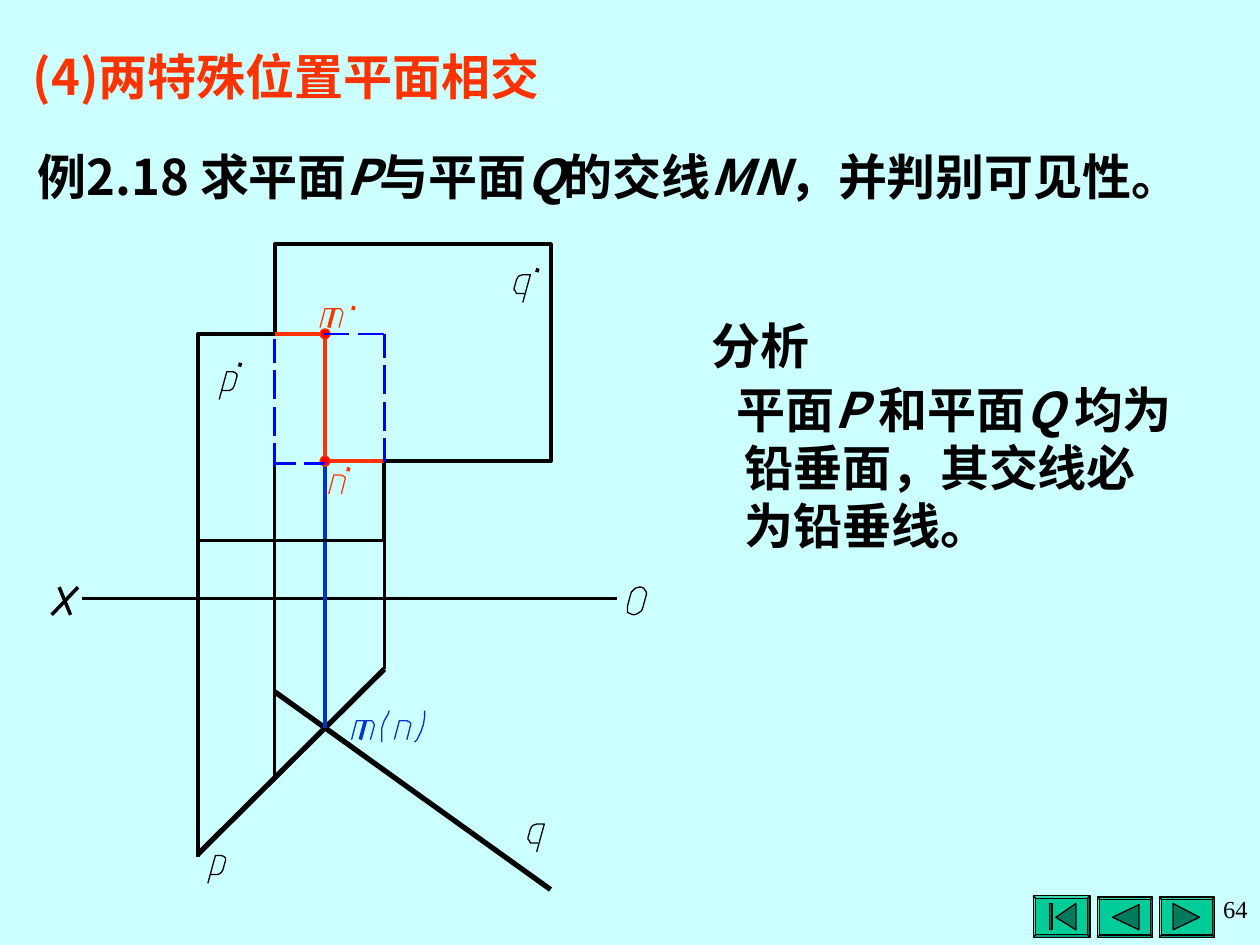
from lxml import etree
from pptx import Presentation
from pptx.dml.color import RGBColor
from pptx.enum.shapes import MSO_CONNECTOR, MSO_SHAPE
from pptx.enum.text import MSO_ANCHOR, MSO_AUTO_SIZE, PP_ALIGN
from pptx.oxml.ns import qn
from pptx.util import Inches, Pt

STRAIGHT = MSO_CONNECTOR.STRAIGHT
BEVEL, OVAL, RECTANGLE = MSO_SHAPE.BEVEL, MSO_SHAPE.OVAL, MSO_SHAPE.RECTANGLE
MIDDLE, TOP = MSO_ANCHOR.MIDDLE, MSO_ANCHOR.TOP
LEFT, RIGHT = PP_ALIGN.LEFT, PP_ALIGN.RIGHT
NO_AUTOFIT = MSO_AUTO_SIZE.NONE

BLACK = RGBColor(0x00, 0x00, 0x00)
PALE_CYAN = RGBColor(0xCC, 0xFF, 0xFF)
ORANGE_RED = RGBColor(0xFF, 0x33, 0x00)
RED = RGBColor(0xFF, 0x00, 0x00)
BLUE = RGBColor(0x00, 0x00, 0xFF)
DEEP_BLUE = RGBColor(0x00, 0x33, 0xCC)
GREEN = RGBColor(0x00, 0xCC, 0x99)
DARK_GREEN = RGBColor(0x00, 0x7A, 0x5C)

CJK_FONT = "Noto Sans CJK SC"
NUMBER_FONT = "Times New Roman"

P_LEFT, Q_LEFT, MN_X, P_RIGHT, Q_RIGHT = 1.57, 2.18, 2.58, 3.05, 4.37
Q_TOP, P_TOP, Q_BOTTOM, P_BOTTOM = 1.94, 2.65, 3.66, 4.29

GLYPHS = {
    "p": [[(0, .22), (.06, 0), (.11, 0), (.13, .01), (.14, .02), (.14, .04),
           (.12, .11), (.11, .13), (.1, .14), (.08, .15), (.02, .15)]],
    "q": [[(.07, .22), (.13, 0), (.07, 0), (.04, .01), (.03, .02), (.02, .04),
           (0, .11), (0, .12), (.01, .13), (.02, .15), (.04, .15), (.08, .15)]],
    "m": [[(.15, .15), (.18, .04), (.18, .03), (.17, .01), (.16, 0), (.04, 0), (0, .15)],
          [(.07, .15), (.11, 0)]],
    "n": [[(0, .15), (.04, 0), (.1, 0), (.12, .01), (.13, .02), (.13, .03), (.1, .15)]],
    "(": [[(0, .25), (0, .2), (0, .14), (.02, .08), (.05, .03), (.06, 0)]],
    ")": [[(0, .25), (.02, .23), (.05, .17), (.07, .11), (.08, .05), (.08, 0)]],
    "'": [[(.01, 0), (0, .03)]],
    "X": [[(.06, 0), (.15, .22)], [(.21, 0), (0, .22)]],
    "O": [[(.05, .22), (.08, .21), (.11, .19), (.12, .17), (.15, .06), (.15, .04),
           (.13, .01), (.11, 0), (.09, 0), (.06, .01), (.03, .04), (0, .15),
           (0, .2), (.02, .21), (.05, .22)]],
}

LABELS = [
    (BLACK, [("p", 1.65, 6.79), ("q", 4.19, 6.54), ("X", .41, 4.66), ("O", 4.98, 4.66),
             ("p", 1.74, 2.95), ("'", 1.9, 2.88), ("q", 4.08, 2.18), ("'", 4.26, 2.13)]),
    (ORANGE_RED, [("m", 2.54, 2.45), ("'", 2.8, 2.43), ("n", 2.61, 3.77), ("'", 2.76, 3.71)]),
    (DEEP_BLUE, [("m", 2.79, 5.72), ("(", 3.03, 5.64), ("n", 3.13, 5.72), (")", 3.29, 5.64)]),
]


def draw_stroke(slide, points, color, width=0):
    corners = [(Inches(x), Inches(y)) for x, y in points]
    if len(corners) == 2:
        stroke = slide.shapes.add_connector(STRAIGHT, *corners[0], *corners[1])
        etree.SubElement(stroke._element.spPr, qn("a:effectLst"))
    else:
        closed = corners[0] == corners[-1]
        builder = slide.shapes.build_freeform(*corners[0])
        builder.add_line_segments(corners[1:], close=closed)
        stroke = builder.convert_to_shape()
        stroke.shadow.inherit = False
        stroke.fill.background()
    stroke.line.color.rgb = color
    stroke.line.width = Pt(width)


def draw_glyph(slide, letter, left, top, color):
    for points in GLYPHS[letter]:
        draw_stroke(slide, [(left + x, top + y) for x, y in points], color)


def style_solid(solid, fill, line, width):
    solid.shadow.inherit = False
    solid.fill.solid()
    solid.fill.fore_color.rgb = fill
    solid.line.color.rgb = line
    solid.line.width = Pt(width)


def add_solid(slide, kind, box, fill, line, width=0):
    solid = slide.shapes.add_shape(kind, *map(Inches, box))
    style_solid(solid, fill, line, width)
    return solid


def add_button(slide, box, triangle, bar=None):
    button = add_solid(slide, BEVEL, box, GREEN, BLACK, .75)
    button.adjustments[0] = .06
    corners = [(Inches(x), Inches(y)) for x, y in triangle]
    builder = slide.shapes.build_freeform(*corners[0])
    builder.add_line_segments(corners[1:])
    style_solid(builder.convert_to_shape(), DARK_GREEN, BLACK, .75)
    if bar:
        add_solid(slide, RECTANGLE, bar, DARK_GREEN, BLACK, .75)


def place(holder, box, anchor=TOP):
    holder.left, holder.top, holder.width, holder.height = map(Inches, box)
    frame = holder.text_frame
    frame.word_wrap = True
    frame.auto_size = NO_AUTOFIT
    frame.vertical_anchor = anchor
    return frame


def add_text_frame(slide, box, anchor=TOP):
    return place(slide.shapes.add_textbox(*map(Inches, box)), box, anchor)


def write_runs(paragraph, pieces, color=BLACK):
    paragraph.alignment = LEFT
    paragraph.line_spacing = Pt(33.2)
    for index, piece in enumerate(pieces):
        run = paragraph.add_run()
        run.text = piece
        run.font.size = Pt(28)
        run.font.bold = True
        run.font.italic = index % 2 == 1
        run.font.color.rgb = color
        run.font.name = CJK_FONT
        east_asian = etree.SubElement(run._r.get_or_add_rPr(), qn("a:ea"))
        east_asian.set("typeface", CJK_FONT)


def write_analysis(slide):
    frame = add_text_frame(slide, (5.31, 2.46, 4.17, 2.53))
    heading, body = frame.paragraphs[0], frame.add_paragraph()
    write_runs(heading, ["分析"])
    write_runs(body, ["平面", "P ", "和平面", "Q ", "均为铅垂面，其交线必为铅垂线。"])
    for paragraph, margin, indent in [(heading, .24, 0), (body, .5, -.06)]:
        paragraph.space_after = Pt(3.5)
        properties = paragraph._p.get_or_add_pPr()
        properties.set("marL", str(Inches(margin)))
        properties.set("indent", str(Inches(indent)))


def draw_front_view(slide):
    draw_stroke(slide, [(Q_LEFT, P_TOP), (Q_LEFT, Q_TOP), (Q_RIGHT, Q_TOP),
                        (Q_RIGHT, Q_BOTTOM), (P_RIGHT, Q_BOTTOM)], BLACK, 2.25)
    draw_stroke(slide, [(P_RIGHT, Q_BOTTOM), (P_RIGHT, P_BOTTOM), (P_LEFT, P_BOTTOM),
                        (P_LEFT, P_TOP), (Q_LEFT, P_TOP)], BLACK, 2.25)
    for start, end in [((Q_LEFT, P_TOP), (MN_X, P_TOP)),
                       ((P_RIGHT, Q_BOTTOM), (MN_X, Q_BOTTOM)),
                       ((MN_X, Q_BOTTOM), (MN_X, P_TOP))]:
        draw_stroke(slide, [start, end], ORANGE_RED, 2.25)
    for y in (P_TOP, Q_BOTTOM):
        add_solid(slide, OVAL, (MN_X - .04, y - .04, .08, .08), RED, ORANGE_RED)


def draw_hidden_edges(slide):
    for x, top in [(Q_LEFT, 2.69), (P_RIGHT, P_TOP)]:
        for start, end in [(0, .19), (.25, .48), (.54, .77), (.83, 1.02)]:
            draw_stroke(slide, [(x, top + start), (x, top + end)], BLUE, 1.5)
    for y, width, dashes in [(P_TOP, 1.5, [(2.57, 2.77), (2.84, 3.05)]),
                             (3.68, 0, [(2.17, 2.35), (2.41, 2.58)])]:
        for start, end in dashes:
            draw_stroke(slide, [(start, y), (end, y)], BLUE, width)


def draw_top_view(slide):
    draw_stroke(slide, [(.65, 4.75), (4.9, 4.75)], BLACK)
    draw_stroke(slide, [(Q_LEFT, 5.49), (Q_RIGHT, 7.06)], BLACK, 3)
    draw_stroke(slide, [(P_LEFT, 6.78), (P_RIGHT, 5.31)], BLACK, 3)
    for x, top, bottom, color in [(P_LEFT, P_BOTTOM, 6.8, BLACK),
                                  (Q_LEFT, Q_BOTTOM, 6.18, BLACK),
                                  (MN_X, Q_BOTTOM, 5.78, DEEP_BLUE),
                                  (P_RIGHT, P_BOTTOM, 5.31, BLACK)]:
        draw_stroke(slide, [(x, top), (x, bottom)], color)


def add_navigation(slide):
    add_button(slide, (9.2, 7.12, .44, .32), [(9.31, 7.17), (9.52, 7.28), (9.31, 7.38)])
    add_button(slide, (8.71, 7.12, .44, .32), [(8.83, 7.28), (9.04, 7.18), (9.04, 7.38)])
    add_button(slide, (8.2, 7.11, .45, .33), [(8.38, 7.28), (8.54, 7.17), (8.54, 7.38)],
               (8.33, 7.17, .02, .21))
    page_number = add_text_frame(slide, (7.48, 7.05, 2.52, .4)).paragraphs[0]
    page_number.text = "64"
    page_number.alignment = RIGHT
    page_number.font.size = Pt(14)
    page_number.font.name = NUMBER_FONT
    page_number.font.color.rgb = BLACK


def main():
    deck = Presentation()
    deck.slide_width, deck.slide_height = Inches(10), Inches(7.5)
    slide = deck.slides.add_slide(deck.slide_layouts[5])
    slide.background.fill.solid()
    slide.background.fill.fore_color.rgb = PALE_CYAN
    title = place(slide.shapes.title, (.16, .32, 6.61, .57), MIDDLE)
    write_runs(title.paragraphs[0], ["(4)两特殊位置平面相交"], ORANGE_RED)
    question = add_text_frame(slide, (.2, .88, 9.1, 1.04), MIDDLE)
    write_runs(question.paragraphs[0], ["例2.18 求平面", "P", "与平面", "Q", "的交线", "MN",
                                        "，并判别可见性。"])
    write_analysis(slide)
    draw_top_view(slide)
    draw_front_view(slide)
    draw_hidden_edges(slide)
    for color, letters in LABELS:
        for letter, left, top in letters:
            draw_glyph(slide, letter, left, top, color)
    add_navigation(slide)
    deck.save("out.pptx")


if __name__ == "__main__":
    main()
